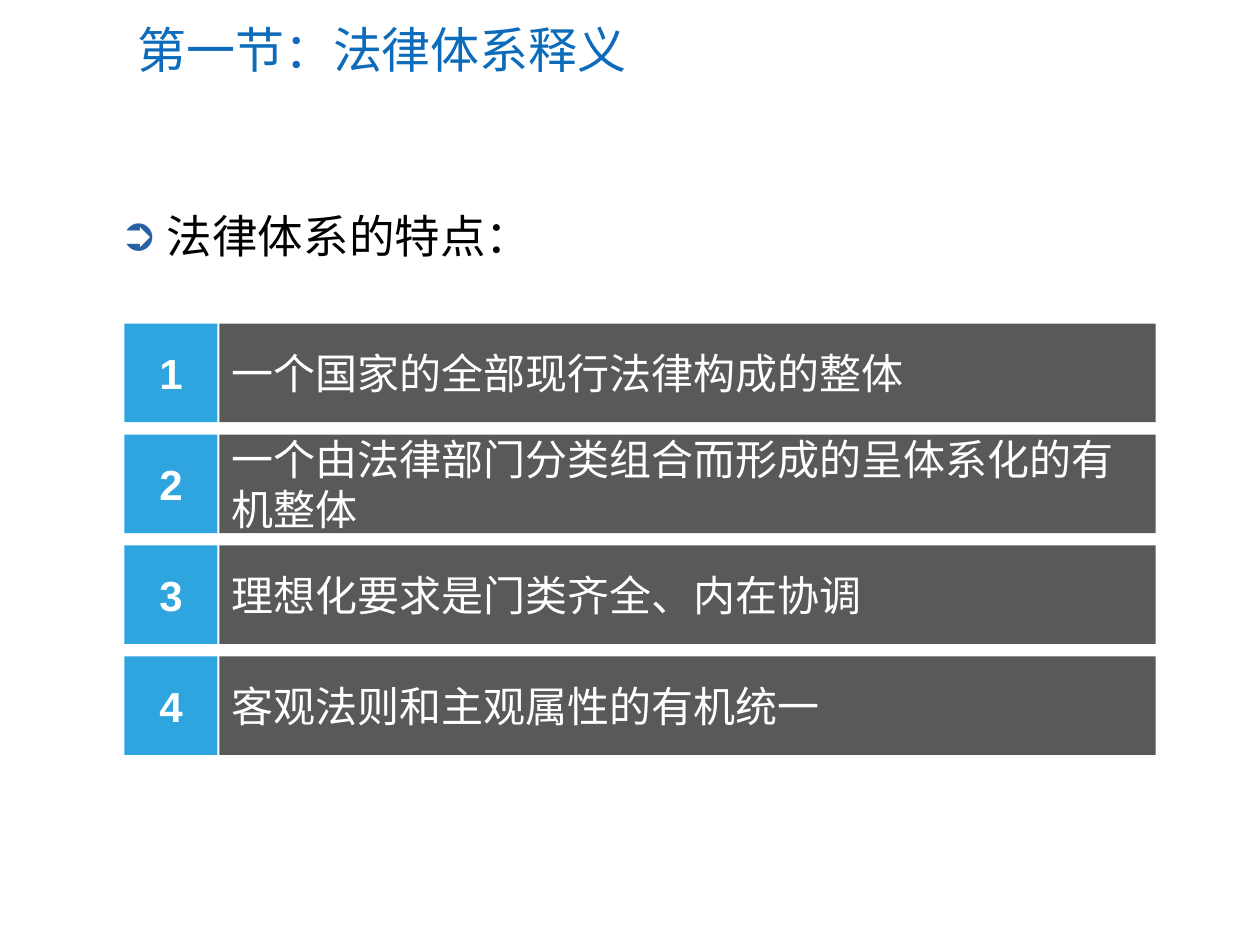
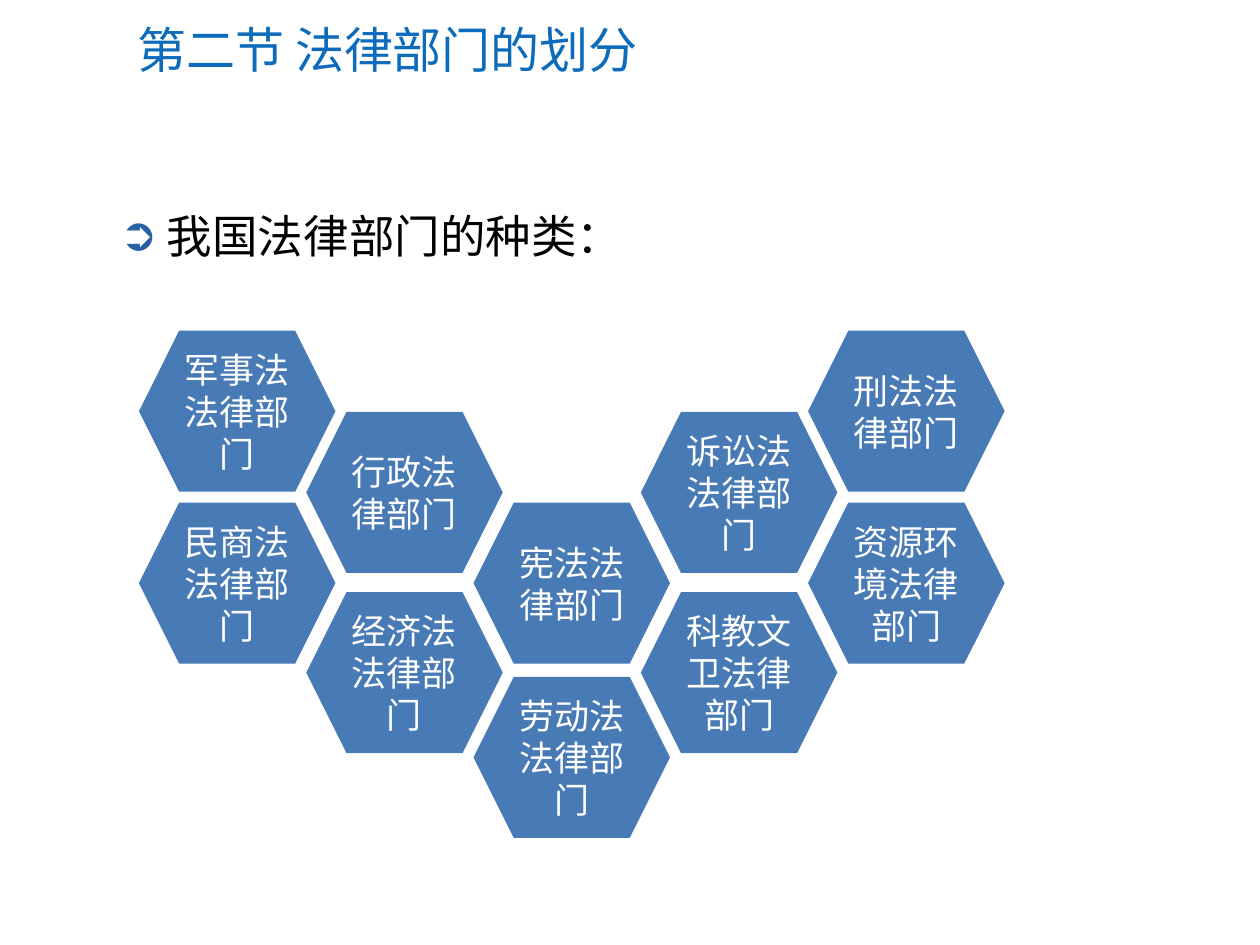
import pptx
import pptx.util
import pptx.dml.color
import pptx.enum.shapes
import pptx.enum.text
import lxml.etree
import pptx.oxml.ns

Pt = pptx.util.Pt
Shape = pptx.enum.shapes.MSO_SHAPE
Align = pptx.enum.text.PP_ALIGN
Anchor = pptx.enum.text.MSO_ANCHOR

HUES = {"title": "0C6BBA", "bullet": "2860A4", "text": "000000",
        "number": "2EA5DF", "bar": "595959", "cell": "487AB5", "white": "FFFFFF"}

TRAITS = {
    "title": "第一节：法律体系释义",
    "lead": "法律体系的特点：",
    "items": ["一个国家的全部现行法律构成的整体",
              "一个由法律部门分类组合而形成的呈体系化的有机整体",
              "理想化要求是门类齐全、内在协调",
              "客观法则和主观属性的有机统一"],
}
KINDS = {
    "title": "第二节 法律部门的划分",
    "lead": "我国法律部门的种类：",
    "columns": [("军事法法律部门", "民商法法律部门"),
                ("行政法律部门", "经济法法律部门"),
                ("宪法法律部门", "劳动法法律部门"),
                ("诉讼法法律部门", "科教文卫法律部门"),
                ("刑法法律部门", "资源环境法律部门")],
    "tops": [(189, 287.2), (235.4, 338.4), (287.2, 386.8),
             (235.4, 338.4), (189, 287.2)],
}


def color(name):
    return pptx.dml.color.RGBColor.from_string(HUES[name])


def write(frame, text, size, hue, align=Align.LEFT, face="Calibri", bold=False):
    frame.word_wrap = True
    frame.auto_size = pptx.enum.text.MSO_AUTO_SIZE.NONE
    frame.text = text
    para = frame.paragraphs[0]
    para.alignment = align
    para.font.name = face
    para.font.size = Pt(size)
    para.font.bold = bold
    para.font.color.rgb = color(hue)
    return para


def place(shape, left, top, width, height):
    shape.left, shape.top = Pt(left), Pt(top)
    shape.width, shape.height = Pt(width), Pt(height)


def mark(para):
    props = para._p.get_or_add_pPr()
    props.set("marL", str(Pt(27)))
    props.set("indent", str(-Pt(27)))
    tag = pptx.oxml.ns.qn
    tint = lxml.etree.SubElement(props, tag("a:buClr"))
    lxml.etree.SubElement(tint, tag("a:srgbClr"), val=HUES["bullet"])
    lxml.etree.SubElement(props, tag("a:buFont"), typeface="Arial")
    lxml.etree.SubElement(props, tag("a:buChar"), char="➲")


def start(deck, data):
    slide = deck.slides.add_slide(deck.slide_layouts[1])
    title, body = slide.placeholders
    place(title, 71.3, 7.2, 628, 41.8)
    title.text_frame.vertical_anchor = Anchor.MIDDLE
    write(title.text_frame, data["title"], 28, "title")
    place(body, 61.2, 115.2, 465, 44)
    mark(write(body.text_frame, data["lead"], 26, "text"))
    return slide


def block(slide, kind, box, fill, text, size, **style):
    shape = slide.shapes.add_shape(kind, *map(Pt, box))
    shape.shadow.inherit = False
    shape.fill.solid()
    shape.fill.fore_color.rgb = color(fill)
    shape.line.fill.background()
    shape.text_frame.vertical_anchor = Anchor.MIDDLE
    write(shape.text_frame, text, size, "white", **style)


deck = pptx.Presentation()
deck.slide_width, deck.slide_height = Pt(720), Pt(540)

slide = start(deck, TRAITS)
for row, text in enumerate(TRAITS["items"]):
    top = 185 + 63.36 * row
    block(slide, Shape.RECTANGLE, (71.1, top, 53.2, 56.3), "number",
          str(row + 1), 24, align=Align.CENTER, face="Arial", bold=True)
    block(slide, Shape.RECTANGLE, (125.4, top, 535, 56.3), "bar", text, 24)

slide = start(deck, KINDS)
for col, (names, tops) in enumerate(zip(KINDS["columns"], KINDS["tops"])):
    for name, top in zip(names, tops):
        block(slide, Shape.HEXAGON, (79.4 + 95.6 * col, top, 112.3, 92), "cell",
              name, 20, align=Align.CENTER)

deck.save("out.pptx")
